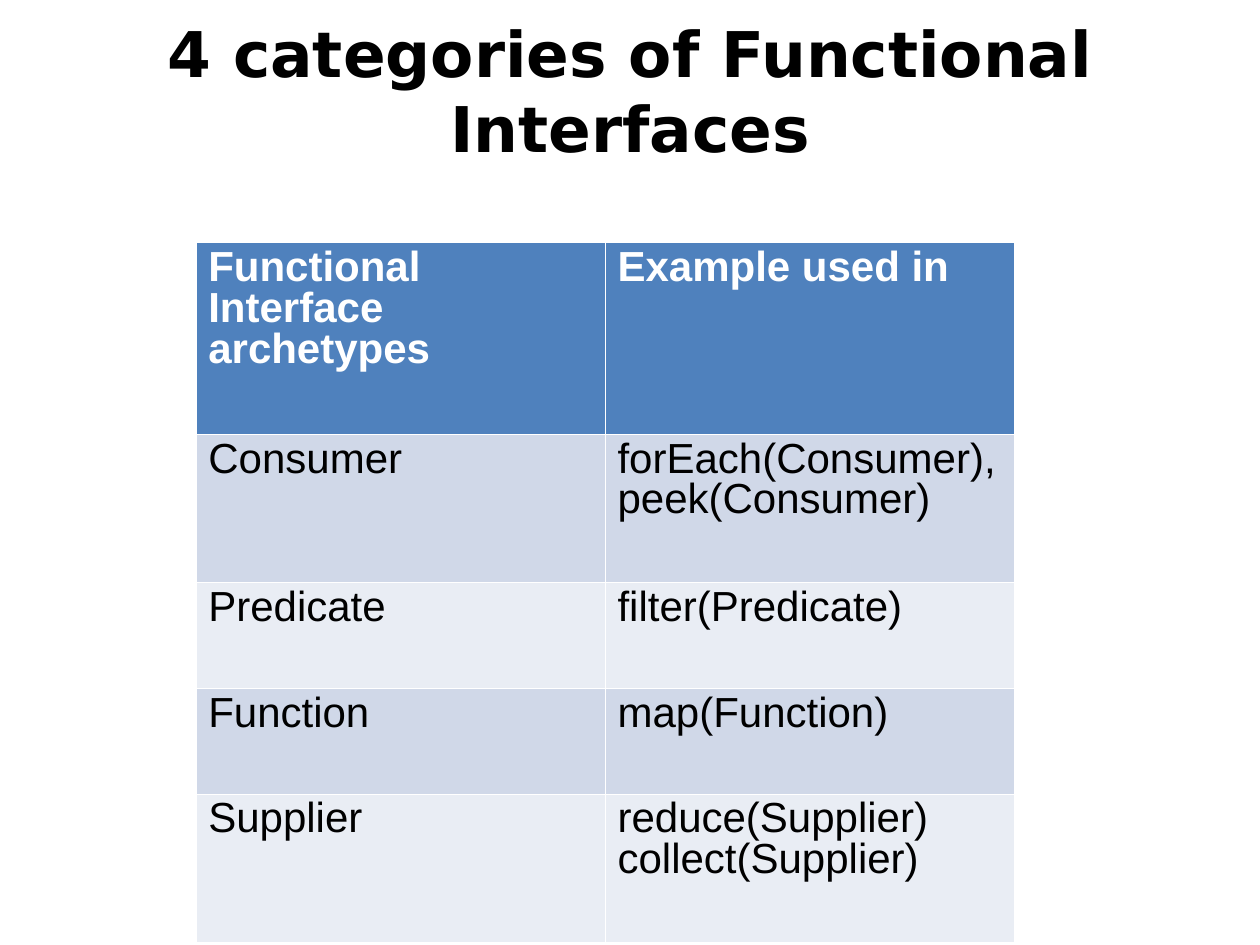
from lxml.etree import SubElement
from pptx import Presentation
from pptx.dml.color import RGBColor
from pptx.enum.text import MSO_ANCHOR, MSO_AUTO_SIZE, PP_ALIGN
from pptx.oxml.ns import qn
from pptx.util import Cm, Pt

BLACK = RGBColor(0x00, 0x00, 0x00)
WHITE = RGBColor(0xFF, 0xFF, 0xFF)
BLUE = RGBColor(0x4F, 0x81, 0xBD)
DARK = RGBColor(0xD0, 0xD8, 0xE8)
LIGHT = RGBColor(0xE9, 0xED, 0xF4)


def write(frame, text, font="Arial", size=24, color=BLACK, bold=False,
          align=PP_ALIGN.LEFT, space=0.87):
    frame.word_wrap = True
    frame.text = text
    for para in frame.paragraphs:
        para.alignment = align
        para.line_spacing = space
        para.space_before = Pt(0)
        for run in para.runs:
            run.font.name = font
            run.font.size = Pt(size)
            run.font.bold = bold
            run.font.color.rgb = color


def border(cell):
    props = cell._tc.get_or_add_tcPr()
    for side in ("lnL", "lnR", "lnT", "lnB"):
        line = SubElement(props, qn("a:" + side), w="762")
        fill = SubElement(line, qn("a:solidFill"))
        SubElement(fill, qn("a:srgbClr"), val=str(WHITE))


deck = Presentation()
deck.slide_width, deck.slide_height = Cm(25.4), Cm(19.05)
slide = deck.slides.add_slide(deck.slide_layouts[5])

# Title
title = slide.shapes.title
title.left, title.top = Cm(1.27), Cm(0.36)
title.width, title.height = Cm(22.86), Cm(3.02)
frame = title.text_frame
frame.auto_size = MSO_AUTO_SIZE.NONE
frame.vertical_anchor = MSO_ANCHOR.MIDDLE
frame.margin_left = frame.margin_right = Cm(0)
frame.margin_top = frame.margin_bottom = Cm(0)
write(frame, "4 categories of Functional Interfaces", font="DejaVu Sans",
      size=36, bold=True, align=PP_ALIGN.CENTER, space=0.98)

# Table of archetypes: row height, archetype, example
rows = [
    (3.86, "Functional Interface archetypes", "Example used in"),
    (2.99, "Consumer", "forEach(Consumer), peek(Consumer)"),
    (2.13, "Predicate", "filter(Predicate)"),
    (2.13, "Function", "map(Function)"),
    (2.99, "Supplier", "reduce(Supplier)\ncollect(Supplier)"),
]
table = slide.shapes.add_table(len(rows), 2, Cm(3.95), Cm(4.89),
                               Cm(16.51), Cm(14.1)).table
for col in table.columns:
    col.width = Cm(8.25)

for i, (height, *texts) in enumerate(rows):
    table.rows[i].height = Cm(height)
    head = i == 0
    shade = BLUE if head else DARK if i % 2 else LIGHT
    for cell, text in zip(table.rows[i].cells, texts):
        border(cell)
        cell.fill.solid()
        cell.fill.fore_color.rgb = shade
        cell.margin_left = cell.margin_right = Cm(0.25)
        cell.margin_top = cell.margin_bottom = Cm(0.13)
        write(cell.text_frame, text, color=WHITE if head else BLACK, bold=head)

deck.save("out.pptx")
